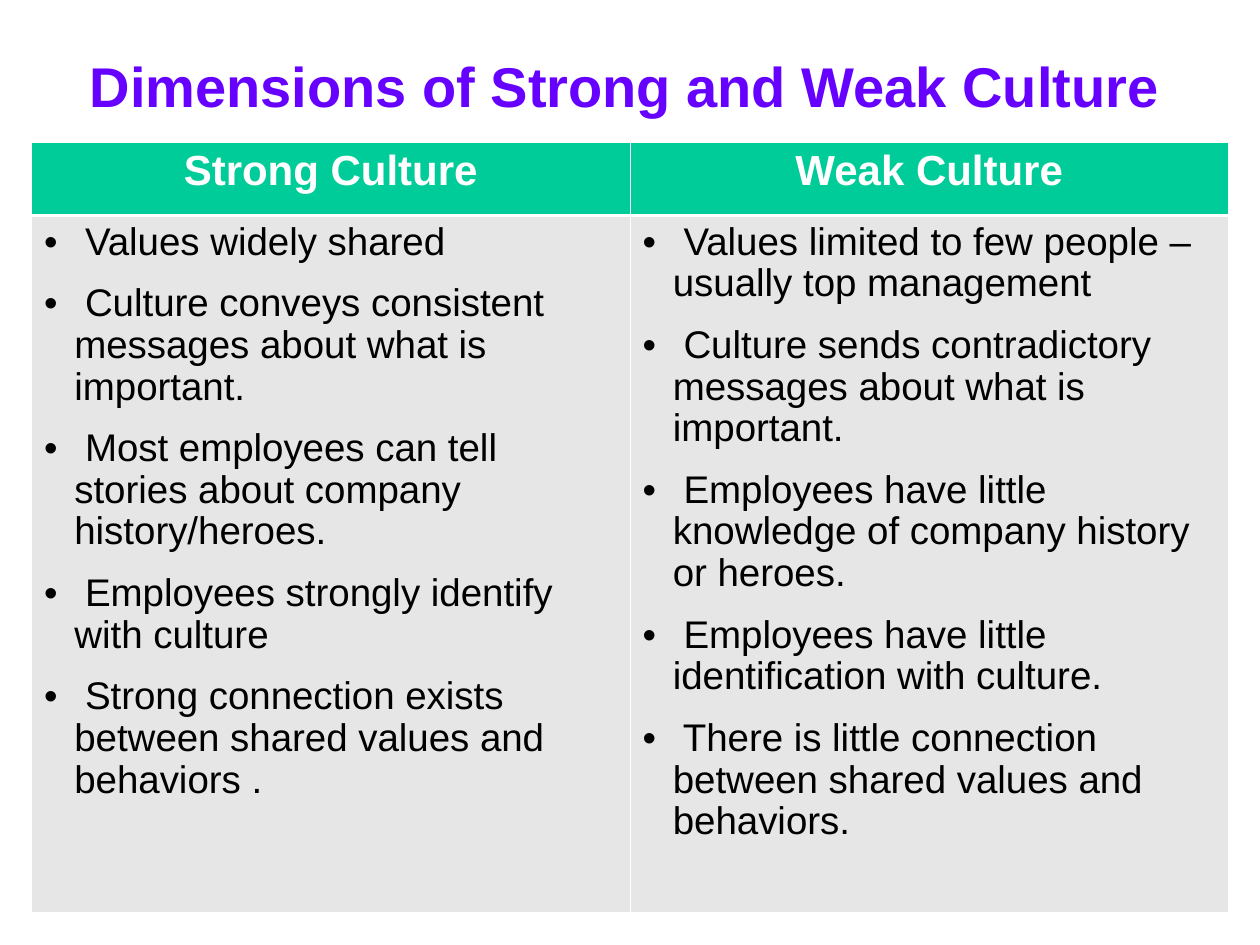
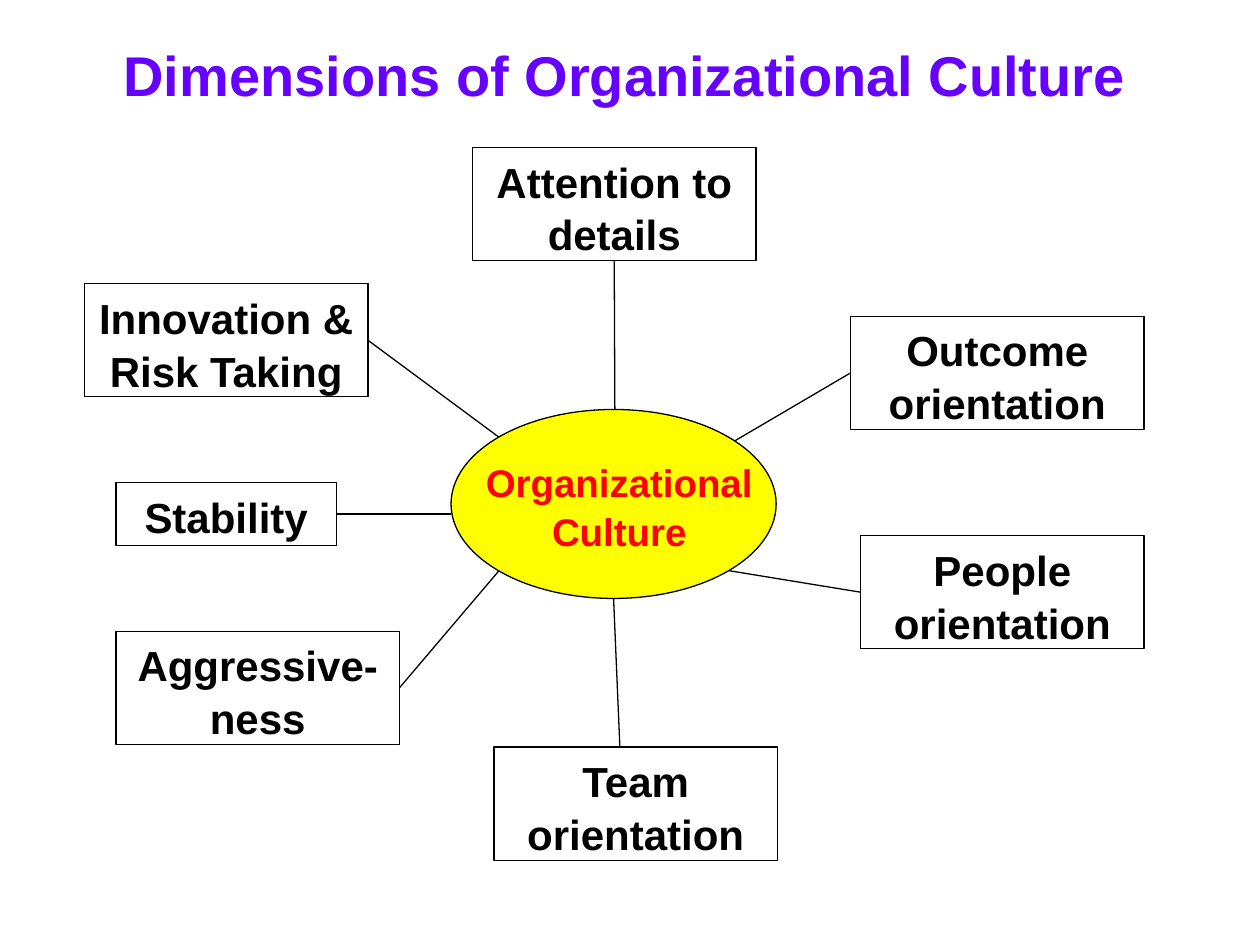
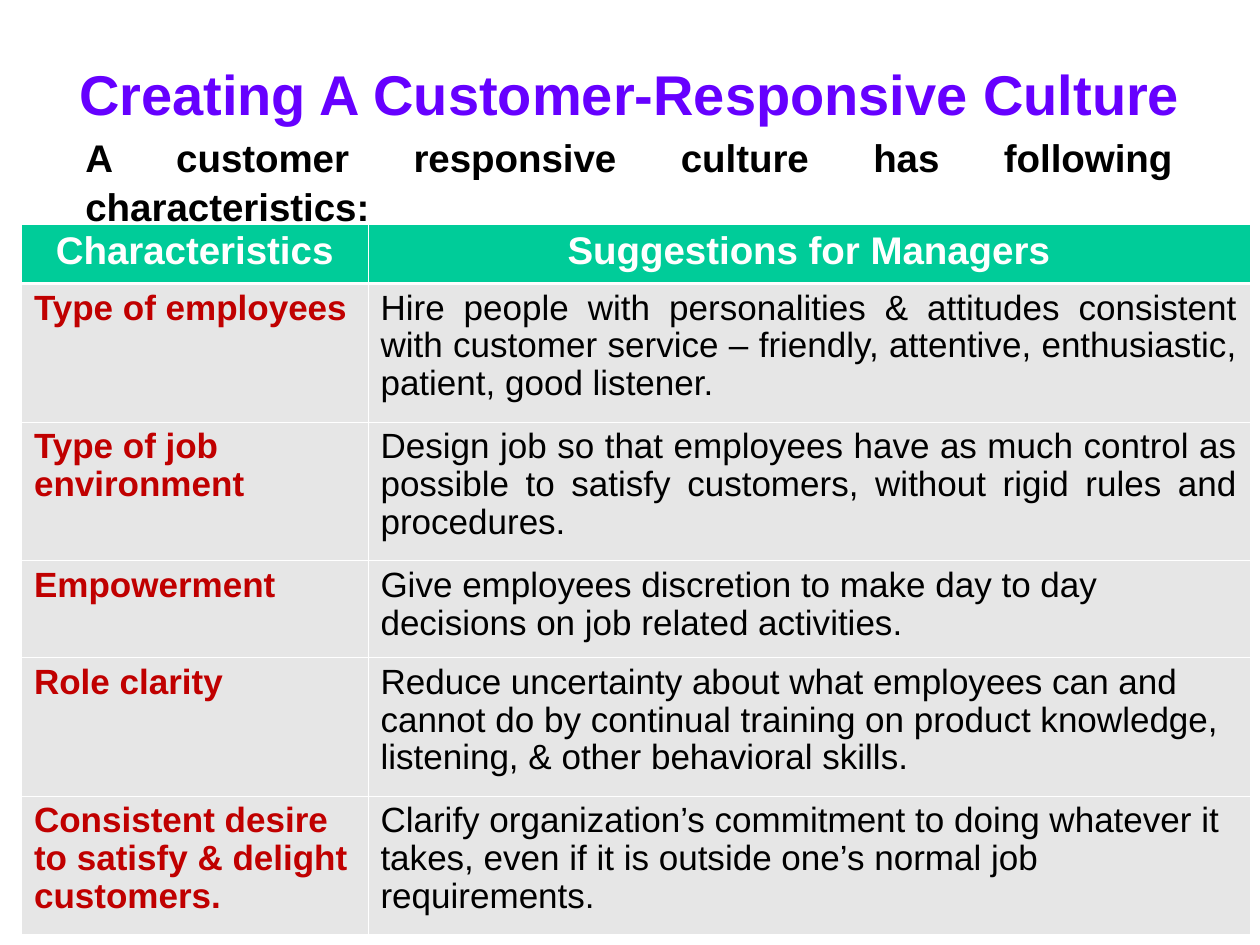
from pptx import Presentation
from pptx.dml.color import RGBColor
from pptx.enum.shapes import MSO_CONNECTOR as Connector, MSO_SHAPE as Shape
from pptx.enum.text import MSO_ANCHOR as Anchor, PP_ALIGN as Align
from pptx.oxml.ns import qn
from pptx.util import Inches, Pt
from lxml.etree import SubElement, Element

FONT = "Arial"
PURPLE, GREEN, GREY = "6600FF", "00CC99", "E6E6E6"
BLACK, WHITE, YELLOW = "000000", "FFFFFF", "FFFF00"
RED, DARK_RED = "FF0000", "C00000"
LOOSE, TIGHT = 1.05, 0.97
LEFT, BOTTOM, RIGHT = 1, 2, 3

STRONG = [
    " Values widely shared",
    " Culture conveys consistent messages about what is important.",
    " Most employees can tell stories about company history/heroes.",
    " Employees strongly identify with culture",
    " Strong connection exists between shared values and behaviors .",
]
WEAK = [
    " Values limited to few people – usually top management",
    " Culture sends contradictory messages about what is important.",
    " Employees have little knowledge of company history or heroes.",
    " Employees have little identification with culture.",
    " There is little connection between shared values and behaviors.",
]
SUGGESTIONS = [
    ("Type of employees", "Hire people with personalities & attitudes consistent with customer "
     "service – friendly, attentive, enthusiastic, patient, good listener.", Align.JUSTIFY),
    ("Type of job environment", "Design job so that employees have as much control as possible "
     "to satisfy customers, without rigid rules and procedures.", Align.JUSTIFY),
    ("Empowerment", "Give employees discretion to make day to day decisions on job related "
     "activities.", Align.LEFT),
    ("Role clarity", "Reduce uncertainty about what employees can and cannot do by continual "
     "training on product knowledge, listening, & other behavioral skills.", Align.LEFT),
    ("Consistent desire to satisfy & delight customers.", "Clarify organization’s commitment to "
     "doing whatever it takes, even if it is outside one’s normal job requirements.", Align.LEFT),
]
DIMENSIONS = [
    ("Attention to details", (3.08, 0, 2.25, 0.9), BOTTOM, (4.21, 2.08)),
    ("Outcome orientation", (6.08, 1.34, 2.33, 0.9), LEFT, (5.16, 2.33)),
    ("People orientation", (6.16, 3.08, 2.25, 0.9), LEFT, (5.12, 3.36)),
    ("Team orientation", (3.25, 4.76, 2.25, 0.9), None, (4.2, 3.58)),
    ("Aggressive-ness", (0.25, 3.84, 2.25, 0.9), RIGHT, (3.29, 3.36)),
    ("Stability", (0.25, 2.66, 1.75, 0.5), RIGHT, (2.91, 2.91)),
    ("Innovation & Risk Taking", (0, 1.08, 2.25, 0.9), RIGHT, (3.29, 2.3)),
]
TEAM_SPOKE_START = (4.25, 4.76)


def color(value):
    return RGBColor.from_string(value)


def add_bullet(para):
    props = para._p.get_or_add_pPr()
    props.set("marL", str(Inches(0.24)))
    props.set("indent", str(-Inches(0.24)))
    SubElement(props, qn("a:buFont"), typeface=FONT)
    SubElement(props, qn("a:buChar"), char="•")


def write(frame, *texts, size=22, ink=BLACK, bold=True, align=Align.CENTER,
          spacing=LOOSE, gap=0, bullet=False):
    frame.word_wrap = True
    for index, text in enumerate(texts):
        para = frame.add_paragraph() if index else frame.paragraphs[0]
        para.alignment = align
        para.line_spacing = spacing
        if index:
            para.space_before = Pt(gap)
        if bullet:
            add_bullet(para)
        span = para.add_run()
        span.text = text
        span.font.name, span.font.size, span.font.bold = FONT, Pt(size), bold
        span.font.color.rgb = color(ink)


def add_label(page, box, text, **style):
    label = page.shapes.add_textbox(*map(Inches, box))
    write(label.text_frame, text, **style)


def add_title(page, box, text):
    add_label(page, box, text, size=32, ink=PURPLE)


def add_panel(page, kind, box, fill=None):
    panel = page.shapes.add_shape(kind, *map(Inches, box))
    panel.shadow.inherit = False
    if fill:
        panel.fill.solid()
        panel.fill.fore_color.rgb = color(fill)
    else:
        panel.fill.background()
    panel.line.color.rgb = color(BLACK)
    panel.line.width = Pt(0.75)
    return panel


def add_spoke(page, start, end):
    spoke = page.shapes.add_connector(Connector.STRAIGHT, *map(Inches, start + end))
    spoke.line.color.rgb = color(BLACK)
    spoke.line.width = Pt(0.75)
    SubElement(spoke._element.spPr, qn("a:effectLst"))
    return spoke


def style_cell(cell, row):
    cell.fill.solid()
    cell.fill.fore_color.rgb = color(GREEN if row == 0 else GREY)
    props = cell._tc.get_or_add_tcPr()
    thick_side = {0: "lnB", 1: "lnT"}.get(row)
    for place, side in enumerate(("lnL", "lnR", "lnT", "lnB")):
        border = Element(qn(f"a:{side}"), w=str(Pt(1.47 if side == thick_side else 0.45)))
        paint = SubElement(border, qn("a:solidFill"))
        SubElement(paint, qn("a:srgbClr"), val=WHITE)
        props.insert(place, border)


def add_grid(page, left, top, widths, heights, headings, heading_size):
    box = (left, top, sum(widths), sum(heights))
    grid = page.shapes.add_table(len(heights), len(widths), *map(Inches, box)).table
    grid.horz_banding = False
    for column, width in zip(grid.columns, widths):
        column.width = Inches(width)
    for index, height in enumerate(heights):
        grid.rows[index].height = Inches(height)
        for cell in grid.rows[index].cells:
            style_cell(cell, index)
    for cell, heading in zip(grid.rows[0].cells, headings):
        write(cell.text_frame, heading, size=heading_size, ink=WHITE, spacing=TIGHT)
    return grid


def add_comparison(page, left, top):
    grid = add_grid(page, left, top, [4.75] * 2, [0.58, 5.53],
                    ["Strong Culture", "Weak Culture"], 24)
    for cell, points in zip(grid.rows[1].cells, (STRONG, WEAK)):
        write(cell.text_frame, *points, bold=False, align=Align.LEFT,
              spacing=TIGHT, gap=11.2, bullet=True)


def add_suggestions(page, left, top):
    grid = add_grid(page, left, top, [2.75, 7], [0.47, 1.1, 1.1, 0.77, 1.1, 1.1],
                    ["Characteristics", "Suggestions for Managers"], 22)
    for row, (trait, advice, align) in enumerate(SUGGESTIONS, 1):
        write(grid.cell(row, 0).text_frame, trait, size=20, ink=DARK_RED,
              align=Align.LEFT, spacing=TIGHT)
        write(grid.cell(row, 1).text_frame, advice, size=20, bold=False,
              align=align, spacing=TIGHT)


def add_hub_diagram(page, left, top):
    def shift(x, y, *size):
        return (left + x, top + y) + size

    add_panel(page, Shape.OVAL, shift(2.91, 2.08, 2.58, 1.5), YELLOW)
    add_label(page, shift(3.08, 2.41, 2.33, 0.84), "Organizational Culture", ink=RED)
    for text, box, side, hub_end in DIMENSIONS:
        panel = add_panel(page, Shape.RECTANGLE, shift(*box))
        panel.text_frame.vertical_anchor = Anchor.TOP
        write(panel.text_frame, text, size=24)
        spoke = add_spoke(page, shift(*TEAM_SPOKE_START), shift(*hub_end))
        if side is not None:
            spoke.begin_connect(panel, side)


def main():
    deck = Presentation()
    deck.slide_width, deck.slide_height = Inches(10), Inches(7.5)
    blank = deck.slide_layouts[6]

    page = deck.slides.add_slide(blank)
    add_title(page, (0.42, 0.33, 9.08, 0.64), "Dimensions of Strong and Weak Culture")
    add_comparison(page, 0.25, 1.13)

    page = deck.slides.add_slide(blank)
    add_hub_diagram(page, 0.67, 1.17)
    add_title(page, (0.42, 0.25, 9.08, 0.64), "Dimensions of Organizational Culture")

    page = deck.slides.add_slide(blank)
    add_label(page, (0.58, 1, 8.83, 0.84),
              "A customer responsive culture has following characteristics:", align=Align.JUSTIFY)
    add_title(page, (0.5, 0.4, 9, 0.64), "Creating A Customer-Responsive Culture")
    add_suggestions(page, 0.17, 1.78)

    deck.save("out.pptx")


if __name__ == "__main__":
    main()
